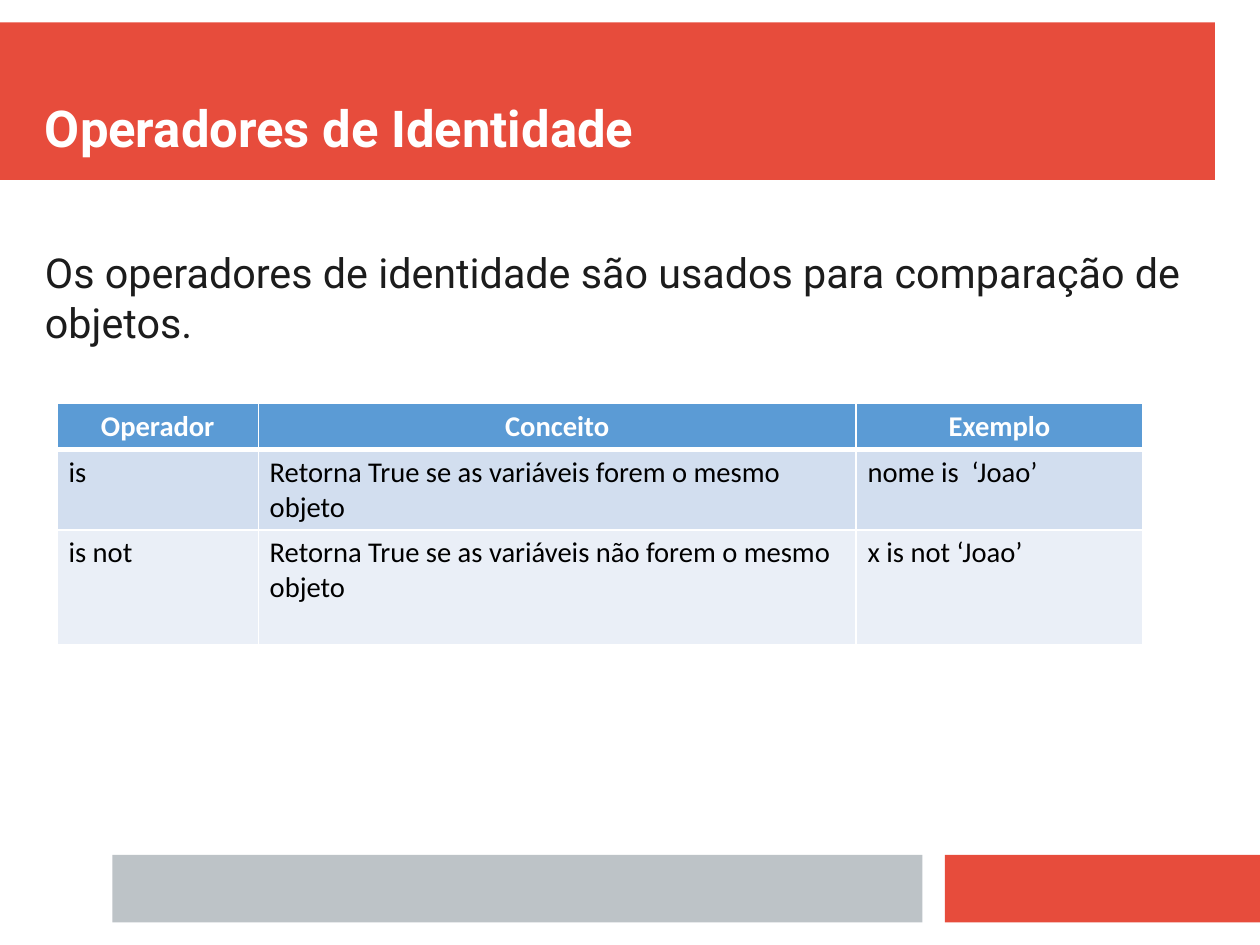
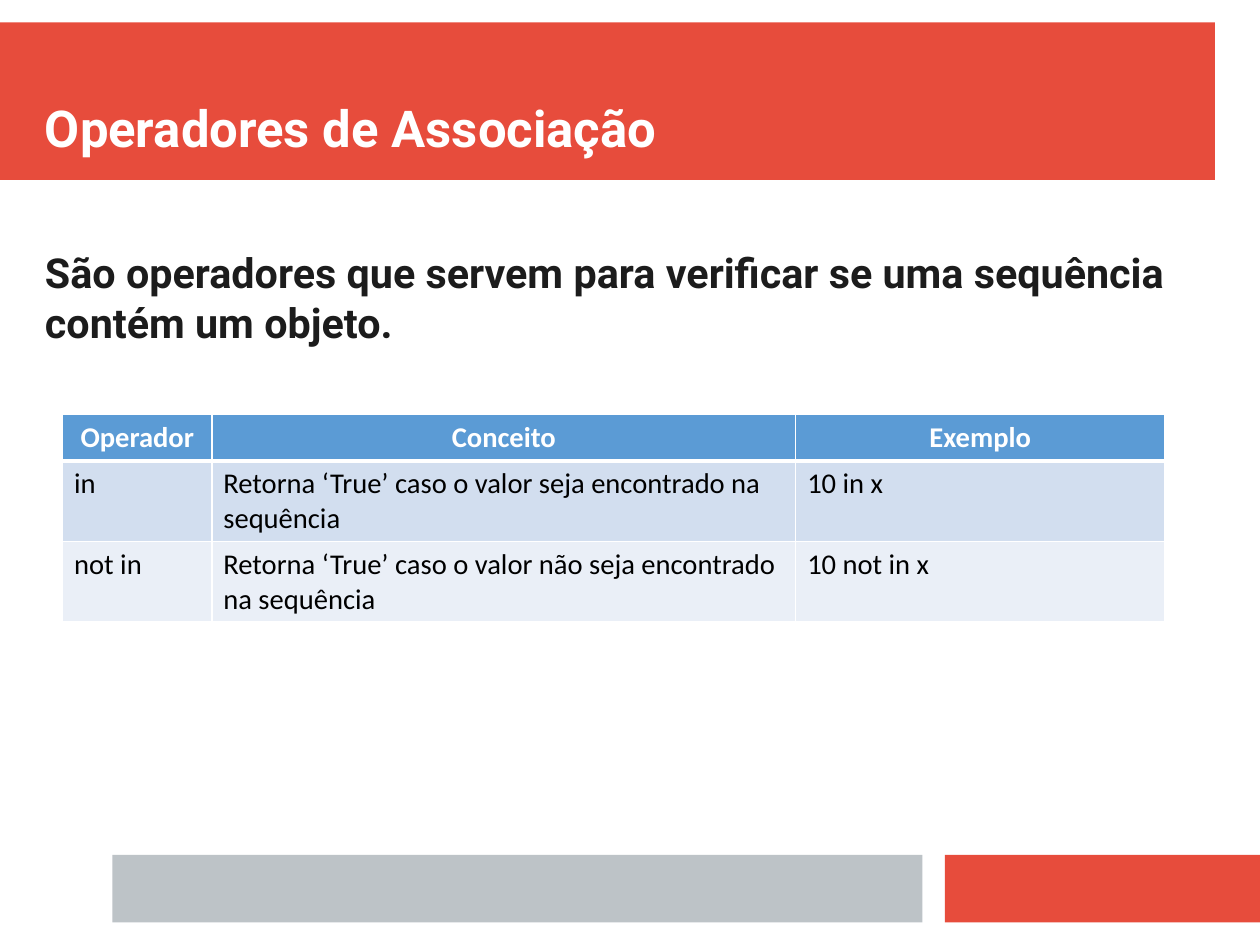
"""Two slides on Python's identity and membership operators."""
from dataclasses import dataclass

from lxml import etree
from pptx import Presentation
from pptx import util as u
from pptx.dml.color import RGBColor
from pptx.enum import shapes, text
from pptx.oxml import ns

WIDE, HIGH = u.Cm(28), u.Cm(21)
COLS, ROWS = 56, 42
HUES = {
    "red": "E74C3C", "grey": "BDC3C7", "white": "FFFFFF", "ink": "1C1C1C",
    "black": "000000", "head": "5B9BD5", "odd": "D2DEEF", "even": "EAEFF7",
}
HEADS = ("Operador", "Conceito", "Exemplo")


@dataclass(frozen=True)
class Box:
    """A place on the grid, in columns and rows."""
    x: float
    y: float
    w: float
    h: float


@dataclass(frozen=True)
class Band:
    """A filled bar that every slide carries."""
    box: Box
    hue: str


@dataclass(frozen=True)
class Style:
    """The look of a paragraph."""
    face: str
    size: float
    hue: str
    bold: bool = False
    align: text.PP_ALIGN = text.PP_ALIGN.LEFT
    after: float = 0


@dataclass(frozen=True)
class Grid:
    """A table: its corner, column widths, row heights and body rows."""
    x: float
    y: float
    wide: tuple[float, ...]
    high: tuple[float, ...]
    body: tuple[tuple[str, ...], ...]


@dataclass(frozen=True)
class Page:
    """The content of one slide."""
    title: str
    lead: str
    bold: bool
    grid: Grid


BANDS = (
    Band(Box(0, 1, 54, 7), "red"),
    Band(Box(42, 38, 14, 3), "red"),
    Band(Box(5, 38, 36, 3), "grey"),
)
TITLE, LEAD = Box(2, 2, 52, 5), Box(2, 11, 51, 26)
HEADING = Style("Roboto", 32, "white", True)
LABEL = Style("Calibri", 18, "white", True, text.PP_ALIGN.CENTER)
ENTRY = Style("Calibri", 18, "black")

PAGES = (
    Page(
        "Operadores de Identidade",
        "Os operadores de identidade são usados para comparação de objetos.",
        False,
        Grid(2.54, 17.92, (8.94, 26.57, 12.75), (2.06, 3.57, 5.09), (
            ("is", "Retorna True se as variáveis forem o mesmo objeto",
             "nome is  ‘Joao’"),
            ("is not", "Retorna True se as variáveis não forem o mesmo objeto",
             "x is not ‘Joao’"),
        )),
    ),
    Page(
        "Operadores de Associação",
        "São operadores que servem para verificar se uma sequência "
        "contém um objeto.",
        True,
        Grid(2.79, 18.43, (6.63, 25.95, 16.39), (2.06, 3.57, 3.57), (
            ("in", "Retorna ‘True’ caso o valor seja encontrado na sequência",
             "10 in x"),
            ("not in",
             "Retorna ‘True’ caso o valor não seja encontrado na sequência",
             "10 not in x"),
        )),
    ),
)


def across(cols: float) -> u.Emu:
    """Turn grid columns into a length."""
    return u.Emu(round(WIDE * cols / COLS))


def down(rows: float) -> u.Emu:
    """Turn grid rows into a length."""
    return u.Emu(round(HIGH * rows / ROWS))


def place(box: Box) -> tuple[u.Emu, ...]:
    """Give left, top, width and height of a box."""
    return across(box.x), down(box.y), across(box.w), down(box.h)


def tint(hue: str) -> RGBColor:
    """Look up a colour by name."""
    return RGBColor.from_string(HUES[hue])


def write(frame, words: str, style: Style) -> None:
    """Put one styled paragraph in a text frame."""
    para = frame.paragraphs[0]
    para.text = words
    para.alignment = style.align
    para.space_after = u.Pt(style.after)
    font = para.font
    font.name, font.size, font.bold = style.face, u.Pt(style.size), style.bold
    font.color.rgb = tint(style.hue)


def draw_band(slide, band: Band) -> None:
    """Draw a bar with no outline."""
    bar = slide.shapes.add_shape(
        shapes.MSO_SHAPE.RECTANGLE, *place(band.box))
    bar.shadow.inherit = False
    bar.fill.solid()
    bar.fill.fore_color.rgb = tint(band.hue)
    bar.line.fill.background()


def draw_text(slide, box: Box, words: str, style: Style,
              anchor: text.MSO_ANCHOR = text.MSO_ANCHOR.TOP) -> None:
    """Draw a wrapped text box without insets."""
    frame = slide.shapes.add_textbox(*place(box)).text_frame
    frame.word_wrap = True
    frame.vertical_anchor = anchor
    frame.margin_left = frame.margin_right = 0
    frame.margin_top = frame.margin_bottom = 0
    write(frame, words, style)


def edge(cell, side: str, width: float) -> None:
    """Give one side of a cell a white line."""
    props = cell._tc.get_or_add_tcPr()
    line = etree.SubElement(props, ns.qn(f"a:ln{side}"), w=str(u.Pt(width)))
    fill = etree.SubElement(line, ns.qn("a:solidFill"))
    etree.SubElement(fill, ns.qn("a:srgbClr"), val=HUES["white"])


def draw_grid(slide, grid: Grid) -> None:
    """Draw a table with a header and two banded rows."""
    lines = (HEADS, *grid.body)
    box = Box(grid.x, grid.y, sum(grid.wide), sum(grid.high))
    table = slide.shapes.add_table(
        len(lines), len(HEADS), *place(box)).table
    for col, wide in zip(table.columns, grid.wide):
        col.width = across(wide)
    for row, high in zip(table.rows, grid.high):
        row.height = down(high)
    for r, line in enumerate(lines):
        hue = "head" if r == 0 else "odd" if r % 2 else "even"
        thick = {0: "B", 1: "T"}.get(r)
        for c, words in enumerate(line):
            cell = table.cell(r, c)
            for side in "LRTB":
                edge(cell, side, 3 if side == thick else 1)
            cell.fill.solid()
            cell.fill.fore_color.rgb = tint(hue)
            write(cell.text_frame, words, ENTRY if r else LABEL)


def build(deck, page: Page) -> None:
    """Add one slide."""
    slide = deck.slides.add_slide(deck.slide_layouts[6])
    for band in BANDS:
        draw_band(slide, band)
    draw_text(slide, TITLE, page.title, HEADING, text.MSO_ANCHOR.BOTTOM)
    style = Style("Roboto", 26, "ink", page.bold, after=11.4)
    draw_text(slide, LEAD, page.lead, style)
    draw_grid(slide, page.grid)


def main() -> None:
    """Build and save the deck."""
    deck = Presentation()
    deck.slide_width, deck.slide_height = WIDE, HIGH
    for page in PAGES:
        build(deck, page)
    deck.save("out.pptx")


main()
